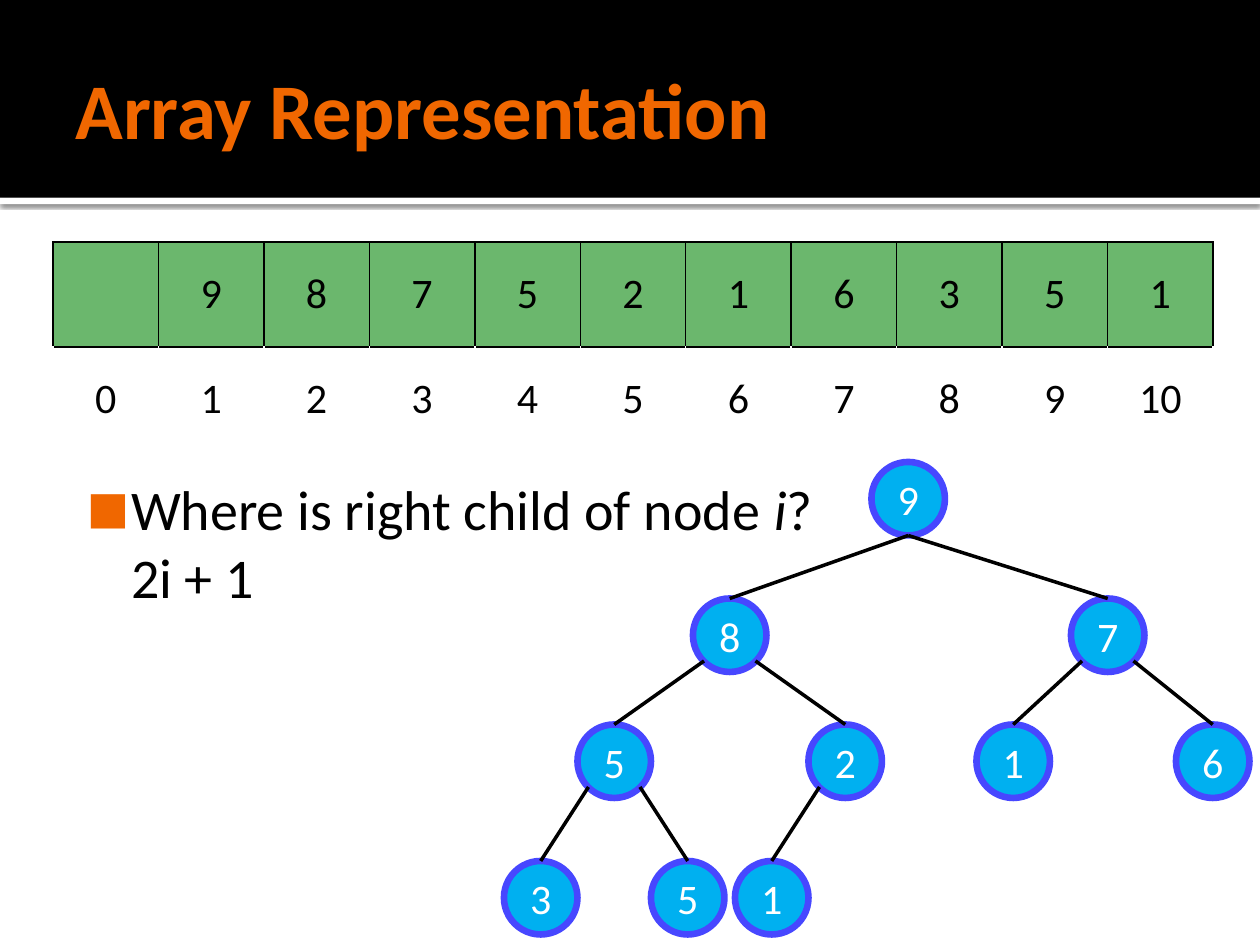
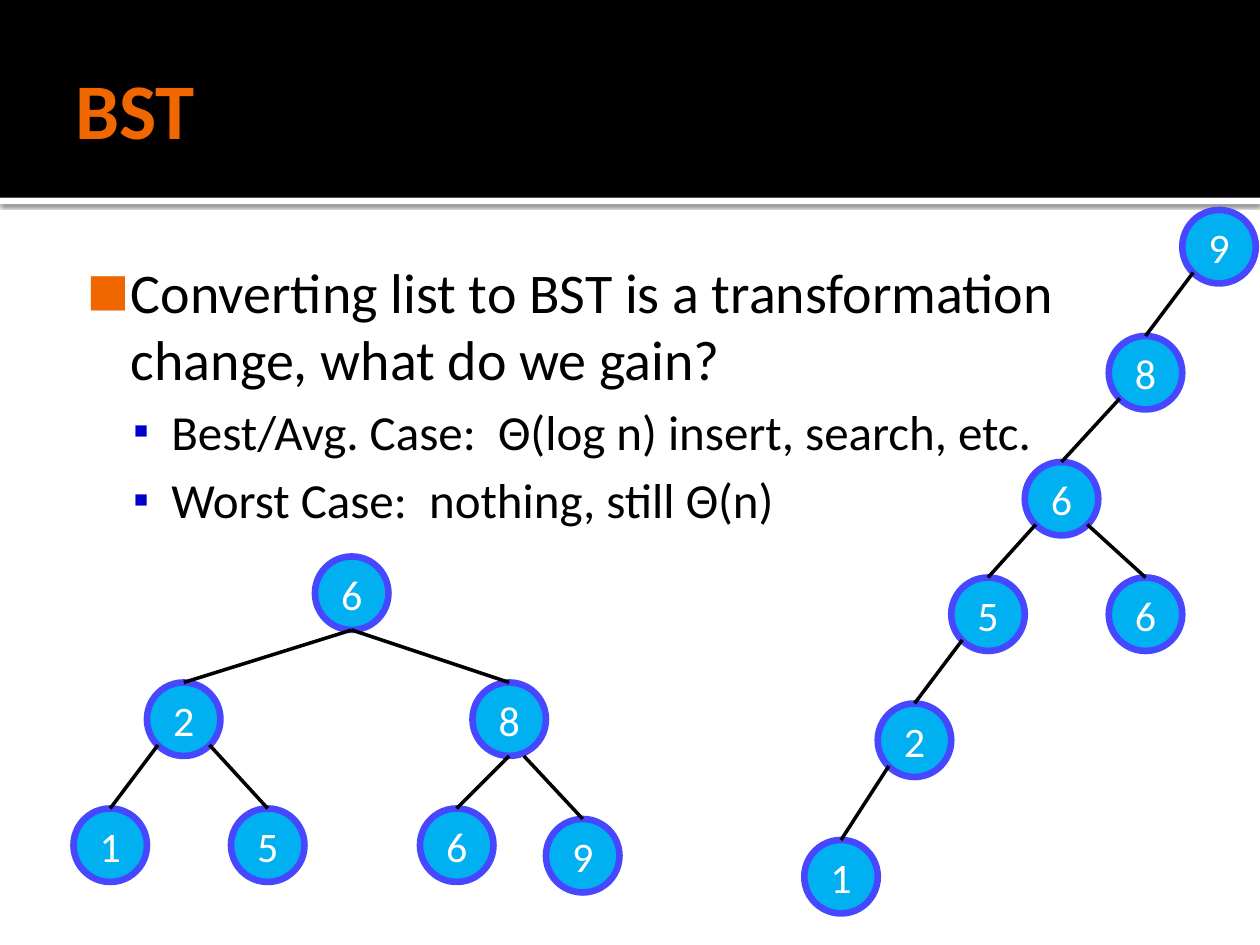
import pptx
import pptx.dml.color
import pptx.enum.shapes
import pptx.enum.text
import pptx.oxml
import pptx.oxml.ns
import pptx.util
from lxml import etree

RGB = pptx.dml.color.RGBColor
BLACK = RGB(0x00, 0x00, 0x00)
WHITE = RGB(0xFF, 0xFF, 0xFF)
ORANGE = RGB(0xF0, 0x67, 0x00)
NAVY = RGB(0x00, 0x00, 0xCC)
NODE_FILL = RGB(0x00, 0xB0, 0xF0)
NODE_LINE = RGB(0x47, 0x47, 0xFF)
CELL_GREEN = RGB(0x6B, 0xB7, 0x6D)

FONT = "Calibri"
WIDTH, HEIGHT = 10, 7.5
UNIT = 1 / 12  # trees stand on a grid of twelve units to the inch
NODE_SIZE = 7
BAND_HEIGHT = 1.57

# Where an edge leaves its parent, as shares of the node's box
BOTTOM = (0.5, 1)
LEFT = (0.15, 0.85)
RIGHT = (0.85, 0.85)
LOW_RIGHT = (0.7, 1)

# Bullet levels: mark, mark colour, mark size %, text size, left, hang, gap before
LEVELS = [
    ("■", ORANGE, 80, 32, 0.48, 0.35, 0),
    ("▪", NAVY, 90, 28, 0.80, 0.30, 5.6),
]

# Tree nodes: value, column, row, parent's index, exit from the parent
HEAP = [
    (9, 83, 44, None, None),
    (8, 66, 57, 0, BOTTOM), (7, 102, 57, 0, BOTTOM),
    (5, 55, 69, 1, LEFT), (2, 77, 69, 1, RIGHT),
    (1, 93, 69, 2, LEFT), (6, 112, 69, 2, RIGHT),
    (3, 48, 82, 3, LEFT), (5, 62, 82, 3, RIGHT), (1, 70, 82, 4, LEFT),
]
BALANCED_TREE = [
    (6, 30, 53, None, None),
    (2, 14, 65, 0, BOTTOM), (8, 45, 65, 0, BOTTOM),
    (1, 7, 77, 1, LEFT), (5, 22, 77, 1, RIGHT),
    (6, 40, 77, 2, BOTTOM), (9, 52, 78, 2, LOW_RIGHT),
]
SKEWED_TREE = [
    (9, 112.6, 20, None, None),
    (8, 105.6, 32, 0, LEFT),
    (6, 97.6, 44, 1, LEFT),
    (5, 90.6, 55, 2, LEFT), (6, 105.6, 55, 2, RIGHT),
    (2, 83.6, 67, 3, LEFT),
    (1, 76.6, 80, 5, LEFT),
]


def inches(*lengths):
    return [pptx.util.Inches(length) for length in lengths]


def add_xml(parent, tag, **attributes):
    return etree.SubElement(parent, pptx.oxml.ns.qn(tag), attributes)


def write(para, text, size=24, color=BLACK, bold=False, italic=False, align=None):
    """Add one formatted span to a paragraph."""
    if align is not None:
        para.alignment = align
    span = para.add_run()
    span.text = text
    font = span.font
    font.name, font.size = FONT, pptx.util.Pt(size)
    font.bold, font.italic = bold, italic
    font.color.rgb = color


def write_centred(para, text, **text_format):
    write(para, text, align=pptx.enum.text.PP_ALIGN.CENTER, **text_format)


def add_text_box(page, place, margins, anchor=pptx.enum.text.MSO_ANCHOR.TOP):
    frame = page.shapes.add_textbox(*inches(*place)).text_frame
    frame.word_wrap = True
    frame.vertical_anchor = anchor
    (frame.margin_left, frame.margin_top,
     frame.margin_right, frame.margin_bottom) = inches(*margins)
    return frame


def add_block(page, kind, place, fill):
    block = page.shapes.add_shape(kind, *inches(*place))
    block.shadow.inherit = False
    block.fill.solid()
    block.fill.fore_color.rgb = fill
    block.line.fill.background()
    return block


def add_page(deck, title):
    """Start a slide with the black title band and its shadowed rule."""
    page = deck.slides.add_slide(deck.slide_layouts[6])
    rectangle = pptx.enum.shapes.MSO_SHAPE.RECTANGLE
    rule = add_block(page, rectangle, (0, BAND_HEIGHT, WIDTH, 0.05), WHITE)
    effects = rule._element.spPr.find(pptx.oxml.ns.qn("a:effectLst"))
    shadow = add_xml(effects, "a:outerShdw", blurRad="31750", dist="10160",
                     dir="5400000", algn="tl", rotWithShape="0")
    add_xml(add_xml(shadow, "a:srgbClr", val=str(BLACK)), "a:alpha", val="60000")
    add_block(page, rectangle, (0, 0, WIDTH, BAND_HEIGHT), BLACK)
    frame = add_text_box(page, (0.5, 0.17, 9, 1.37), (0.1, 0.05, 0.05, 0.05),
                         pptx.enum.text.MSO_ANCHOR.MIDDLE)
    write(frame.paragraphs[0], title, size=45, color=ORANGE, bold=True)
    return page


def set_bullet(para, level):
    mark, color, percent, _, left, hang, gap = LEVELS[level]
    properties = para._p.get_or_add_pPr()
    properties.set("marL", str(pptx.util.Inches(left)))
    properties.set("indent", str(-pptx.util.Inches(hang)))
    if level:
        para.level = level
        para.space_before = pptx.util.Pt(gap)
    add_xml(add_xml(properties, "a:buClr"), "a:srgbClr", val=str(color))
    add_xml(properties, "a:buSzPct", val=str(percent * 1000))
    add_xml(properties, "a:buFont", typeface=FONT)
    add_xml(properties, "a:buChar", char=mark)


def add_bullets(page, place, items):
    """Write (level, text) items; return the paragraphs."""
    frame = add_text_box(page, place, (0.06, 0.1, 0.1, 0.05))
    paras = []
    for number, (level, text) in enumerate(items):
        para = frame.add_paragraph() if number else frame.paragraphs[0]
        set_bullet(para, level)
        write(para, text, size=LEVELS[level][3])
        paras.append(para)
    return paras


def add_node(page, value, column, row):
    place = [length * UNIT for length in (column, row, NODE_SIZE, NODE_SIZE)]
    node = add_block(page, pptx.enum.shapes.MSO_SHAPE.OVAL, place, NODE_FILL)
    node.line.color.rgb = NODE_LINE
    node.line.width = pptx.util.Pt(3.78)
    frame = node.text_frame
    frame.word_wrap = False
    frame.vertical_anchor = pptx.enum.text.MSO_ANCHOR.MIDDLE
    frame.margin_left = frame.margin_right = 0
    write_centred(frame.paragraphs[0], str(value), color=WHITE)


def add_edge(page, parent, child, leave):
    """Join a point on the parent to the top of the child."""
    ends = [(column + share_x * NODE_SIZE, row + share_y * NODE_SIZE)
            for (_, column, row, *_), (share_x, share_y)
            in ((parent, leave), (child, (0.5, 0)))]
    points = inches(*[length * UNIT for end in ends for length in end])
    edge = page.shapes.add_connector(
        pptx.enum.shapes.MSO_CONNECTOR.STRAIGHT, *points)
    edge.line.color.rgb = BLACK
    edge.line.width = pptx.util.Pt(2)
    add_xml(edge._element.spPr, "a:effectLst")


def add_tree(page, tree):
    for value, column, row, *_ in tree:
        add_node(page, value, column, row)
    for child in tree:
        *_, parent, leave = child
        if parent is not None:
            add_edge(page, tree[parent], child, leave)


def set_borders(cell, **colors):
    properties = cell._tc.get_or_add_tcPr()
    for side in "LRTB":
        line = add_xml(properties, f"a:ln{side}", w=str(pptx.util.Pt(1)))
        color = colors.get(side, colors["rest"])
        add_xml(add_xml(line, "a:solidFill"), "a:srgbClr", val=str(color))


def add_array(page, values):
    """Draw the array as green cells with the indexes below them."""
    count = len(values)
    table = page.shapes.add_table(2, count, *inches(0.42, 1.92, 9.21, 1.67)).table
    table.first_row = table.horz_banding = False
    for index, value in enumerate(values):
        for row, text in enumerate((value, str(index))):
            cell = table.cell(row, index)
            cell.vertical_anchor = pptx.enum.text.MSO_ANCHOR.MIDDLE
            if row == 0:
                set_borders(cell, rest=BLACK)
                cell.fill.solid()
                cell.fill.fore_color.rgb = CELL_GREEN
            else:
                set_borders(cell, T=BLACK, rest=WHITE)
                cell.fill.background()
            if text:
                write_centred(cell.text_frame.paragraphs[0], text)


def build_array_page(deck):
    page = add_page(deck, "Array Representation")
    question, = add_bullets(page, (0.5, 3.67, 6.21, 3.33),
                            [(0, "Where is right child of node ")])
    write(question, "i", size=32, italic=True)
    write(question, "?", size=32)
    question.add_line_break()
    write(question, "2i + 1", size=32)
    add_tree(page, HEAP)
    add_array(page, ["", *"9875216351"])


def build_search_tree_page(deck):
    page = add_page(deck, "BST")
    add_bullets(page, (0.5, 1.94, 9, 5.06), [
        (0, "Converting list to BST is a transformation change, what do we gain?"),
        (1, "Best/Avg. Case:  Θ(log n) insert, search, etc."),
        (1, "Worst Case:  nothing, still Θ(n)"),
    ])
    add_tree(page, BALANCED_TREE)
    add_tree(page, SKEWED_TREE)


def main():
    deck = pptx.Presentation()
    deck.slide_width, deck.slide_height = inches(WIDTH, HEIGHT)
    build_array_page(deck)
    build_search_tree_page(deck)
    deck.save("out.pptx")


if __name__ == "__main__":
    main()
